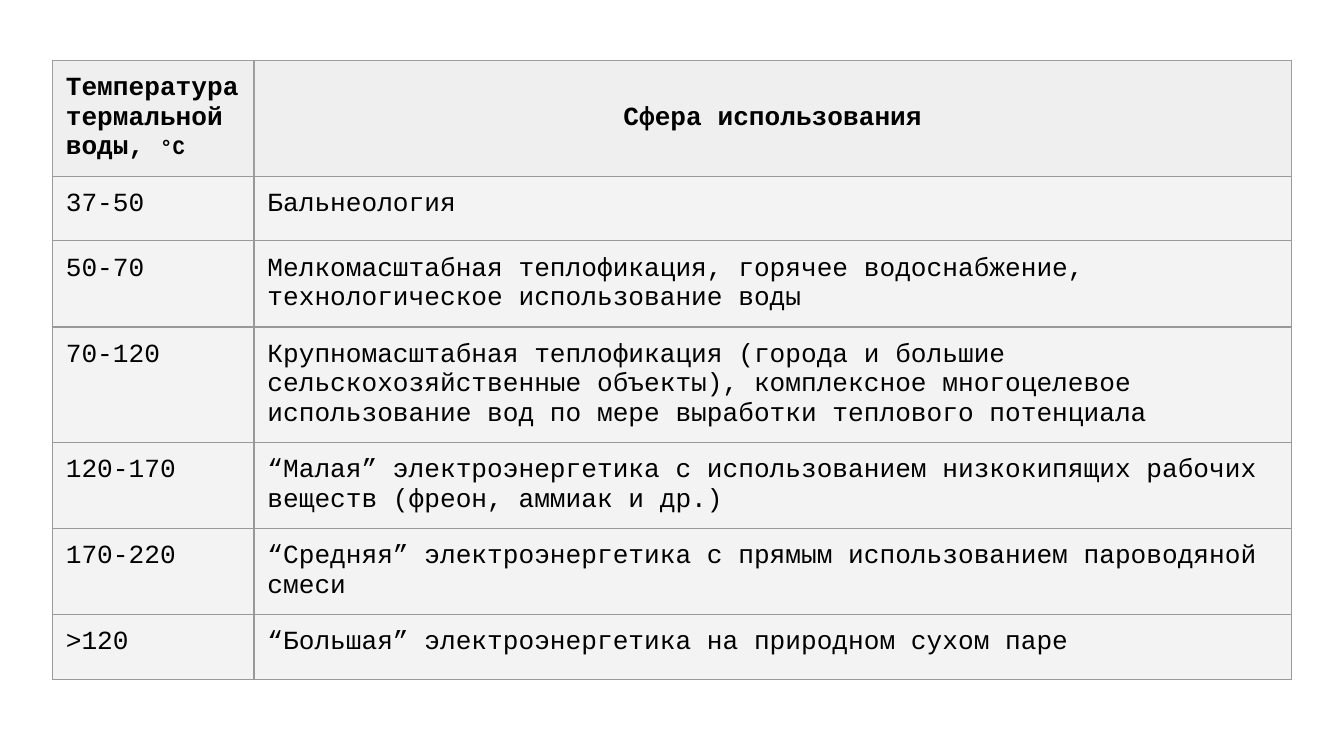
from dataclasses import dataclass
from lxml.etree import SubElement as Sub
from pptx import Presentation
from pptx.dml.color import RGBColor as Rgb
from pptx.enum.text import MSO_ANCHOR as Anchor, PP_ALIGN as Align
from pptx.oxml.ns import qn
from pptx.util import Inches, Pt


@dataclass(frozen=True)
class Theme:
    font: str = "Courier New"
    ink: str = "000000"
    head: str = "EFEFEF"
    body: str = "F3F3F3"
    rule: str = "999999"
    edge: str = "9E9E9E"
    size: float = 14
    unit: float = 11
    line: float = 0.75
    pad: float = 0.1


THEME = Theme()
WIDE = 10
HIGH = WIDE * 9 / 16
BOX = (0.39 / WIDE, 0.45 / HIGH, 9.22 / WIDE, 3.39 / HIGH)
SPLIT = 1.5 / 9.22
HEAD = 0.5 / 3.39

TITLES = [("Температура термальной воды, ", "°С"), ("Сфера использования",)]
USES = [
    ("37-50", "Бальнеология"),
    ("50-70", "Мелкомасштабная теплофикация, горячее водоснабжение, "
              "технологическое использование воды"),
    ("70-120", "Крупномасштабная теплофикация (города и большие "
               "сельскохозяйственные объекты), комплексное многоцелевое "
               "использование вод по мере выработки теплового потенциала"),
    ("120-170", "“Малая” электроэнергетика с использованием низкокипящих "
                "рабочих веществ (фреон, аммиак и др.)"),
    ("170-220", "“Средняя” электроэнергетика с прямым использованием "
                "пароводяной смеси"),
    (">120", "“Большая” электроэнергетика на природном сухом паре"),
]


def set_rules(cell, edge):
    """Draw the four cell borders; the bottom one has the body colour."""
    props = cell._tc.get_or_add_tcPr()
    sides = zip(("lnL", "lnR", "lnT", "lnB"), (edge, edge, edge, THEME.rule))
    for spot, (side, color) in enumerate(sides):
        line = Sub(props, qn(f"a:{side}"), w=str(Pt(THEME.line)))
        fill = Sub(line, qn("a:solidFill"))
        Sub(fill, qn("a:srgbClr"), val=color)
        props.insert(spot, line)


def fill_cell(cell, parts, head=False):
    """Write the parts as runs; a second part is a smaller unit."""
    cell.fill.solid()
    cell.fill.fore_color.rgb = Rgb.from_string(THEME.head if head else THEME.body)
    set_rules(cell, THEME.edge if head else THEME.rule)
    pad = Inches(THEME.pad)
    cell.margin_left = cell.margin_right = pad
    cell.margin_top = cell.margin_bottom = pad
    para = cell.text_frame.paragraphs[0]
    for part, size in zip(parts, (THEME.size, THEME.unit)):
        run = para.add_run()
        run.text = part
        font = run.font
        font.name, font.size, font.bold = THEME.font, Pt(size), head
        font.color.rgb = Rgb.from_string(THEME.ink)


def add_uses(slide, box):
    """Place the table of uses in a box given as shares of the slide."""
    left, top, width, height = (
        Inches(share * full) for share, full in zip(box, (WIDE, HIGH) * 2))
    table = slide.shapes.add_table(
        len(USES) + 1, 2, left, top, width, height).table
    table.horz_banding = False
    table.columns[0].width = round(width * SPLIT)
    table.columns[1].width = width - table.columns[0].width
    for num, row in enumerate(table.rows):
        share = (1 - HEAD) / len(USES) if num else HEAD
        row.height = round(height * share)
    for col, parts in enumerate(TITLES):
        fill_cell(table.cell(0, col), parts, head=True)
    for num, texts in enumerate(USES, 1):
        for col, text in enumerate(texts):
            fill_cell(table.cell(num, col), (text,))
    title = table.cell(0, 1)
    title.vertical_anchor = Anchor.MIDDLE
    title.text_frame.paragraphs[0].alignment = Align.CENTER


def main():
    deck = Presentation()
    deck.slide_width, deck.slide_height = Inches(WIDE), Inches(HIGH)
    slide = deck.slides.add_slide(deck.slide_layouts[6])
    add_uses(slide, BOX)
    deck.save("out.pptx")


if __name__ == "__main__":
    main()
